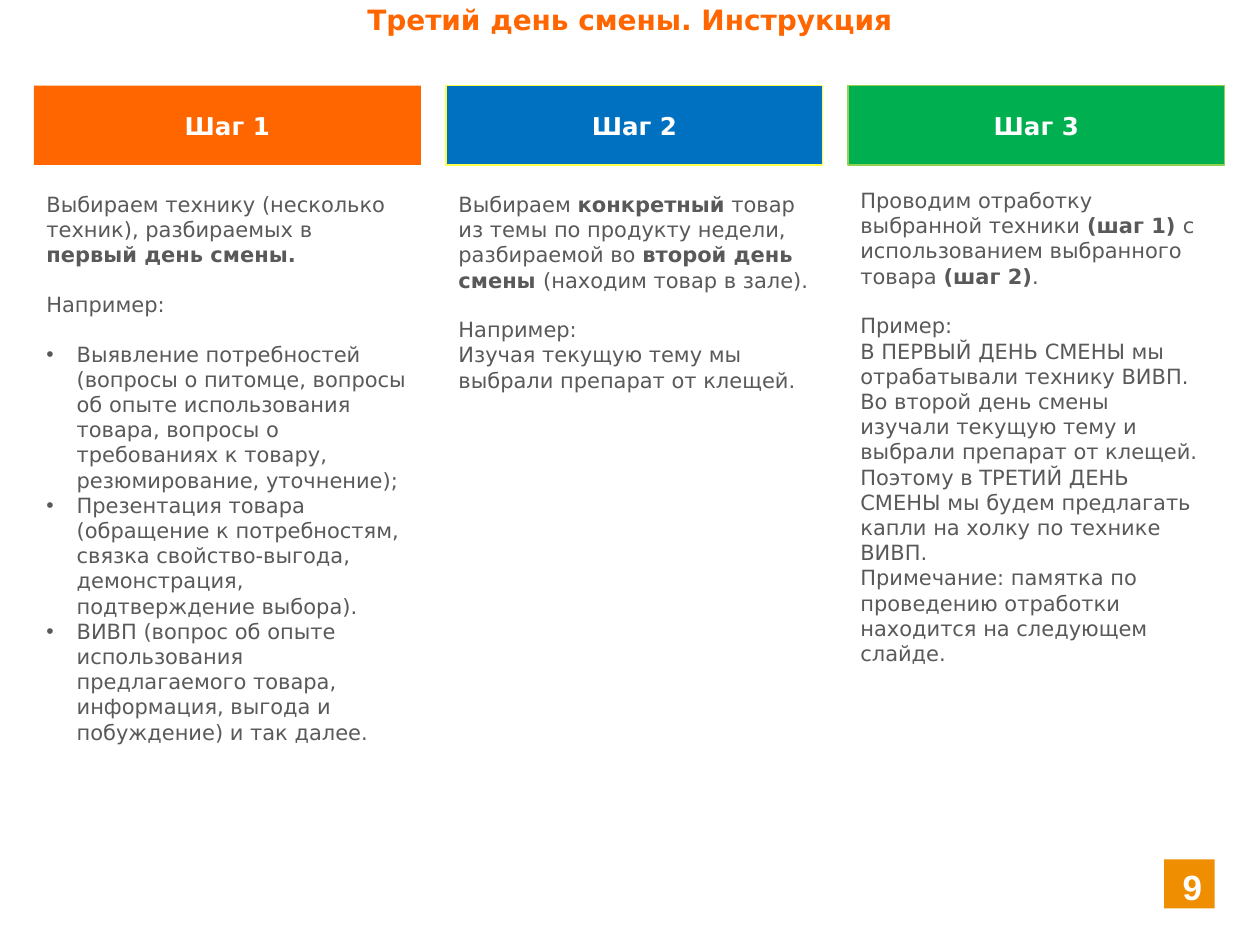
from dataclasses import dataclass

from lxml import etree
from pptx import Presentation
from pptx.dml.color import RGBColor
from pptx.enum.shapes import MSO_SHAPE
from pptx.enum.text import MSO_ANCHOR, MSO_AUTO_SIZE, PP_ALIGN
from pptx.oxml.ns import qn
from pptx.util import Inches, Pt

RECTANGLE = MSO_SHAPE.RECTANGLE
TOP, MIDDLE = MSO_ANCHOR.TOP, MSO_ANCHOR.MIDDLE
LEFT, CENTER, RIGHT = PP_ALIGN.LEFT, PP_ALIGN.CENTER, PP_ALIGN.RIGHT
NO_AUTOFIT = MSO_AUTO_SIZE.NONE


@dataclass(frozen=True)
class Theme:
    font: str = "DejaVu Sans"
    number_font: str = "Arial"
    orange: str = "FF6600"
    blue: str = "0070C0"
    yellow: str = "FFFF47"
    green: str = "00B050"
    lime: str = "92D050"
    amber: str = "EE8E00"
    white: str = "FFFFFF"
    text: str = "595959"
    title_size: int = 16
    step_size: int = 14
    body_size: int = 12
    number_size: int = 20
    blank_line: int = 14
    bullet_indent: float = 0.24


@dataclass(frozen=True)
class Item:
    spans: tuple
    gap: bool = False
    bullet: bool = False


@dataclass(frozen=True)
class Step:
    name: str
    fill: str
    line: str | None
    width: float
    body_top: float
    body_width: float
    body_height: float
    items: tuple


class SlideBuilder:
    """Draw the elements of one slide in a shared style."""

    def __init__(self, slide, theme):
        self.slide = slide
        self.theme = theme

    def format(self, paragraph, size, color, bold=None, align=LEFT, font=None):
        paragraph.alignment = align
        paragraph.font.name = font or self.theme.font
        paragraph.font.size = Pt(size)
        paragraph.font.bold = bold
        paragraph.font.color.rgb = RGBColor.from_string(color)

    def title(self, text, left, top, width, height):
        box = self.slide.shapes.title
        box.left, box.top = Inches(left), Inches(top)
        box.width, box.height = Inches(width), Inches(height)
        frame = box.text_frame
        frame.text = text
        frame.auto_size = NO_AUTOFIT
        frame.vertical_anchor = TOP
        self.format(frame.paragraphs[0], self.theme.title_size, self.theme.orange, True, CENTER)

    def label(self, text, bounds, fill, size, line=None, align=CENTER, anchor=MIDDLE, font=None):
        box = self.slide.shapes.add_shape(RECTANGLE, *map(Inches, bounds))
        box.shadow.inherit = False
        box.fill.solid()
        box.fill.fore_color.rgb = RGBColor.from_string(fill)
        if line:
            box.line.color.rgb = RGBColor.from_string(line)
            box.line.width = Pt(0.75)
        else:
            box.line.fill.background()
        frame = box.text_frame
        frame.text = text
        frame.vertical_anchor = anchor
        self.format(frame.paragraphs[0], size, self.theme.white, True, align, font)

    def bullet(self, paragraph):
        properties = paragraph._p.get_or_add_pPr()
        indent = Inches(self.theme.bullet_indent)
        properties.set("marL", str(indent))
        properties.set("indent", str(-indent))
        etree.SubElement(properties, qn("a:buFont"), typeface="Arial")
        etree.SubElement(properties, qn("a:buChar"), char="•")

    def body(self, items, bounds):
        frame = self.slide.shapes.add_textbox(*map(Inches, bounds)).text_frame
        frame.word_wrap = True
        for index, item in enumerate(items):
            paragraph = frame.add_paragraph() if index else frame.paragraphs[0]
            if item.gap:
                paragraph.space_before = Pt(self.theme.blank_line)
            if item.bullet:
                self.bullet(paragraph)
            self.format(paragraph, self.theme.body_size, self.theme.text)
            for position, text in enumerate(item.spans):
                span = paragraph.add_run()
                span.text = text
                if position % 2:
                    span.font.bold = True


def build_steps(theme):
    """Return the three steps; spans alternate between regular and bold."""
    return (
        Step("Шаг 1", theme.orange, None, 3.07, 1.47, 3.07, 4.96, (
            Item(("Выбираем технику (несколько техник), разбираемых в ", "первый день смены.")),
            Item(("Например:",), gap=True),
            Item(("Выявление потребностей (вопросы о питомце, вопросы об опыте использования "
                  "товара, вопросы о требованиях к товару, резюмирование, уточнение);",),
                 gap=True, bullet=True),
            Item(("Презентация товара (обращение к потребностям, связка свойство-выгода, "
                  "демонстрация, подтверждение выбора).",), bullet=True),
            Item(("ВИВП (вопрос об опыте использования предлагаемого товара, информация, "
                  "выгода и побуждение) и так далее.",), bullet=True),
        )),
        Step("Шаг 2", theme.blue, theme.yellow, 2.99, 1.47, 2.99, 2.99, (
            Item(("Выбираем ", "конкретный", " товар из темы по продукту недели, разбираемой во ",
                  "второй день смены ", "(находим товар в зале).")),
            Item(("Например:",), gap=True),
            Item(("Изучая текущую тему мы выбрали препарат от клещей.",)),
        )),
        Step("Шаг 3", theme.green, theme.lime, 2.99, 1.44, 2.91, 4.96, (
            Item(("Проводим отработку выбранной техники ", "(шаг 1) ",
                  "с использованием выбранного товара ", "(шаг 2)", ".")),
            Item(("Пример:",), gap=True),
            Item(("В ПЕРВЫЙ ДЕНЬ СМЕНЫ мы отрабатывали технику ВИВП. Во второй день смены "
                  "изучали текущую тему и выбрали препарат от клещей. Поэтому в ТРЕТИЙ ДЕНЬ "
                  "СМЕНЫ мы будем предлагать капли на холку по технике ВИВП.",)),
            Item(("Примечание: памятка по проведению отработки находится на следующем слайде.",)),
        )),
    )


def main():
    theme = Theme()
    deck = Presentation()
    deck.slide_width, deck.slide_height = Inches(10), Inches(7.5)
    page = SlideBuilder(deck.slides.add_slide(deck.slide_layouts[5]), theme)
    page.title("Третий день смены. Инструкция", 0, -0.03, 10, 0.37)
    left, column_gap = 0.27, 0.2
    for step in build_steps(theme):
        page.label(step.name, (left, 0.68, step.width, 0.63), step.fill, theme.step_size, step.line)
        page.body(step.items, (left, step.body_top, step.body_width, step.body_height))
        left += step.width + column_gap
    page.label("9", (9.24, 6.82, 0.4, 0.39), theme.amber, theme.number_size,
               align=RIGHT, anchor=TOP, font=theme.number_font)
    deck.save("out.pptx")


if __name__ == "__main__":
    main()
